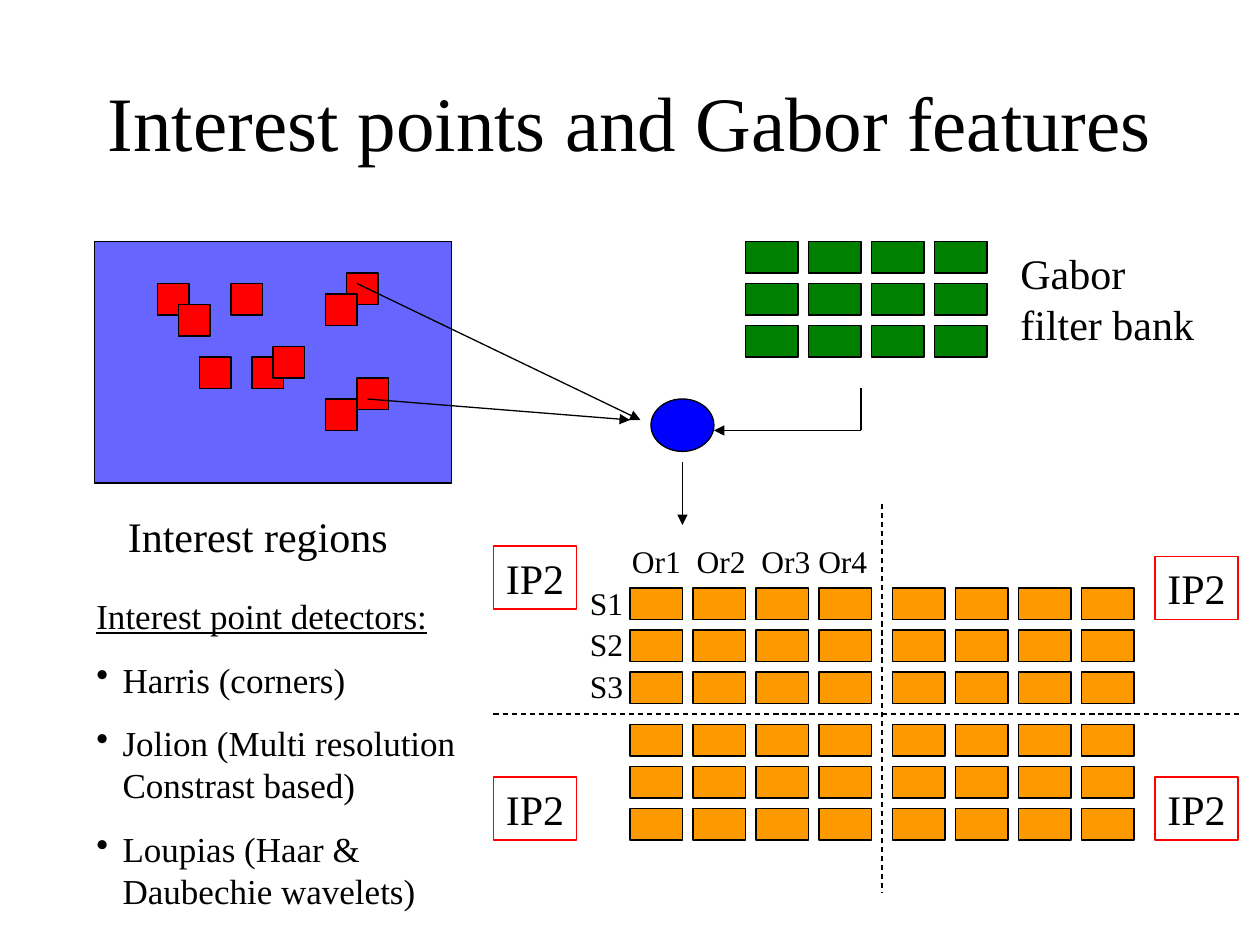
"""Build the slide on interest points and Gabor features."""
import lxml.etree
import pptx
import pptx.dml.color
import pptx.enum.dml
import pptx.enum.shapes
import pptx.enum.text
import pptx.oxml.ns
import pptx.util

Pt = pptx.util.Pt
qn = pptx.oxml.ns.qn
RGB = pptx.dml.color.RGBColor.from_string
RECTANGLE = pptx.enum.shapes.MSO_SHAPE.RECTANGLE
OVAL = pptx.enum.shapes.MSO_SHAPE.OVAL
FONT = "Times New Roman"
COLORS = {
    "ink": "000000",
    "image": "6666FF",
    "region": "FF0000",
    "filter": "008000",
    "response": "FF9900",
    "convolution": "0000FF",
}

deck = pptx.Presentation()
deck.slide_width, deck.slide_height = Pt(720), Pt(540)
slide = deck.slides.add_slide(deck.slide_layouts[5])


def add_block(kind, left, top, width, height, color):
    block = slide.shapes.add_shape(kind, Pt(left), Pt(top), Pt(width), Pt(height))
    block.shadow.inherit = False
    block.fill.solid()
    block.fill.fore_color.rgb = RGB(COLORS[color])
    block.line.color.rgb = RGB(COLORS["ink"])
    block.line.width = Pt(0.75)


def add_label(left, top, width, height, lines, size, gap=0, bulleted=False):
    label = slide.shapes.add_textbox(Pt(left), Pt(top), Pt(width), Pt(height))
    frame = label.text_frame
    frame.word_wrap = True
    frame.text = "\n".join(lines)
    for number, paragraph in enumerate(frame.paragraphs):
        if bulleted:
            properties = paragraph._p.get_or_add_pPr()
            properties.set("marL", str(Pt(15)))
            properties.set("indent", str(-Pt(15)))
            if number:
                bullet = lxml.etree.SubElement(properties, qn("a:buChar"))
                bullet.set("char", "•")
        if number:
            paragraph.space_before = Pt(gap)
        paragraph.font.name = FONT
        paragraph.font.size = Pt(size)
        paragraph.font.color.rgb = RGB(COLORS["ink"])
    return label


title = slide.shapes.title
title.left, title.top, title.width, title.height = Pt(54), Pt(24), Pt(612), Pt(90)
title.text_frame.text = "Interest points and Gabor features"
title.text_frame.vertical_anchor = pptx.enum.text.MSO_ANCHOR.MIDDLE
heading = title.text_frame.paragraphs[0]
heading.alignment = pptx.enum.text.PP_ALIGN.CENTER
heading.font.name = FONT
heading.font.size = Pt(44)
heading.font.color.rgb = RGB(COLORS["ink"])

add_block(RECTANGLE, 54, 138, 204, 138, "image")
regions = [(90, 162), (114, 204), (132, 162), (102, 174), (144, 204),
           (156, 198), (204, 216), (186, 228), (198, 156), (186, 168)]
for left, top in regions:
    add_block(RECTANGLE, left, top, 18, 18, "region")

grids = [(426, 138, "filter"), (360, 336, "response"), (360, 414, "response"),
         (510, 336, "response"), (510, 414, "response")]
for left, top, color in grids:
    for scale in range(3):
        for orientation in range(4):
            add_block(RECTANGLE, left + 36 * orientation, top + 24 * scale, 30, 18, color)

links = [
    (204, 162, 366, 240, "arrow"),
    (210, 228, 360, 240, "arrow"),
    (390, 264, 390, 300, "arrow"),
    (492, 246, 408, 246, "arrow"),
    (492, 246, 492, 222, "plain"),
    (282, 408, 708, 408, "dashed"),
    (504, 288, 504, 510, "dashed"),
]
for x1, y1, x2, y2, style in links:
    link = slide.shapes.add_connector(
        pptx.enum.shapes.MSO_CONNECTOR.STRAIGHT, Pt(x1), Pt(y1), Pt(x2), Pt(y2))
    link.line.color.rgb = RGB(COLORS["ink"])
    link.line.width = Pt(0.75)
    if style == "dashed":
        link.line.dash_style = pptx.enum.dml.MSO_LINE.DASH
    if style == "arrow":
        arrowhead = lxml.etree.SubElement(link.line._get_or_add_ln(), qn("a:tailEnd"))
        arrowhead.set("type", "triangle")
    lxml.etree.SubElement(link._element.spPr, qn("a:effectLst"))
add_block(OVAL, 372, 228, 36, 30, "convolution")

add_label(66, 288, 180, 36, ["Interest regions"], 24)
add_label(576, 138, 126, 65, ["Gabor filter bank"], 24)
detectors = add_label(
    48, 336, 252, 189,
    ["Interest point detectors:", "Harris (corners)",
     "Jolion (Multi resolution Constrast based)", "Loupias (Haar & Daubechie wavelets)"],
    20, gap=12.5, bulleted=True)
detectors.text_frame.paragraphs[0].font.underline = True

for left, top in [(660, 318), (282, 312), (282, 444), (660, 444)]:
    point = add_label(left, top, 47.5, 36, ["IP2"], 24)
    point.text_frame.word_wrap = False
    point.line.color.rgb = RGB(COLORS["region"])
    point.line.width = Pt(0.75)

orientations = add_label(354, 306, 156, 29, ["Or1\tOr2\tOr3\tOr4"], 18)
orientation_properties = orientations.text_frame.paragraphs[0]._p.get_or_add_pPr()
tab_list = lxml.etree.Element(qn("a:tabLst"))
for position in (37, 74, 106.5):
    lxml.etree.SubElement(tab_list, qn("a:tab"), pos=str(Pt(position)), algn="l")
orientation_properties.insert_element_before(tab_list, "a:defRPr", "a:extLst")
add_label(330, 330, 48, 76, ["S1", "S2", "S3"], 18, gap=2.2)

deck.save("out.pptx")
